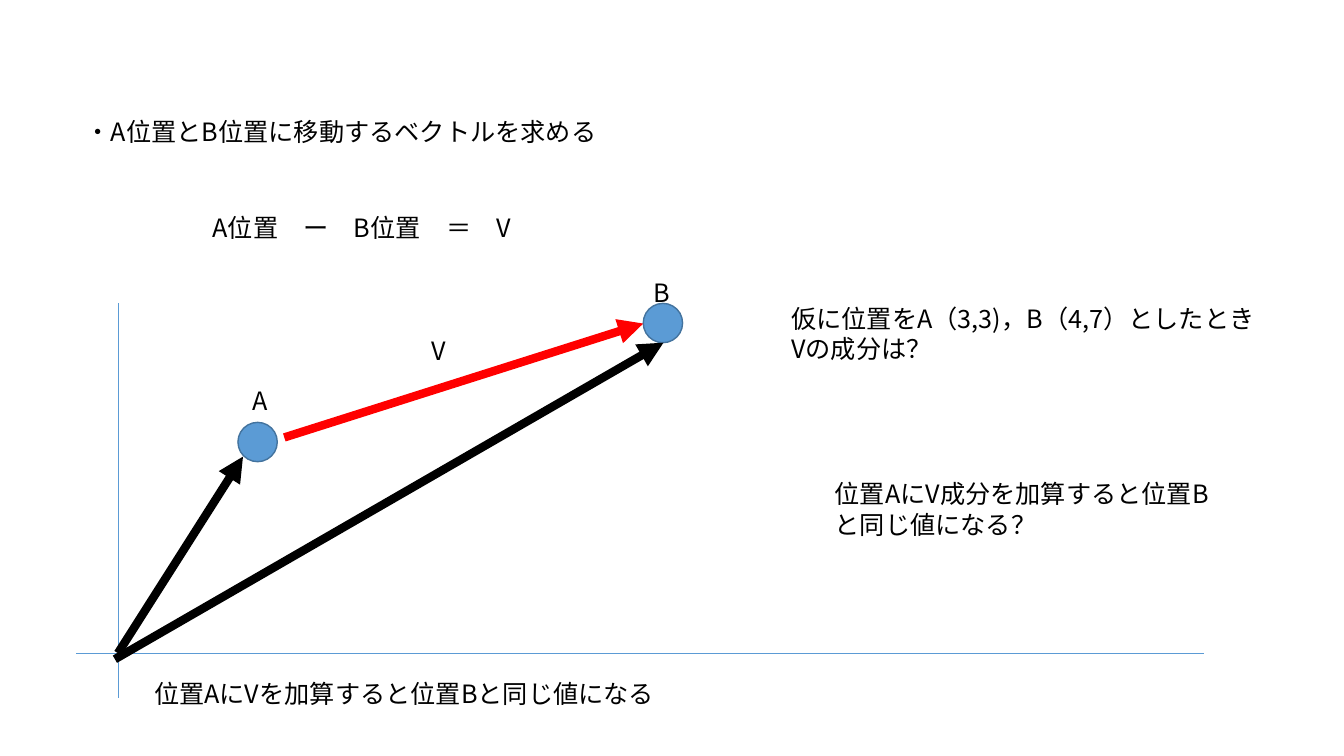
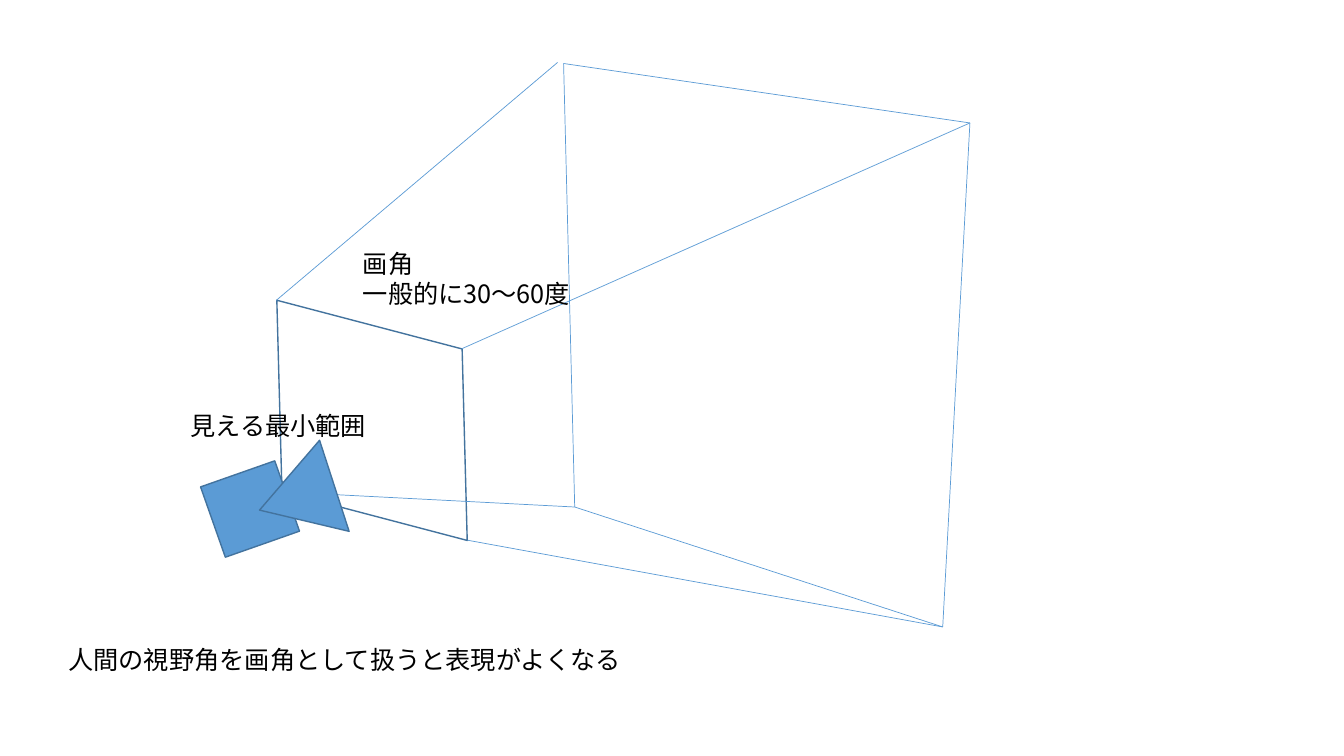
from dataclasses import dataclass
from lxml.etree import SubElement
from pptx import Presentation
from pptx.dml.color import RGBColor
from pptx.enum.shapes import MSO_CONNECTOR as CONN, MSO_SHAPE as SHAPE
from pptx.enum.text import MSO_AUTO_SIZE as AUTO
from pptx.oxml.ns import qn
from pptx.util import Inches, Pt


@dataclass(frozen=True)
class Theme:
    font: str = "Noto Sans CJK JP"
    size: float = 18
    ink: str = "000000"
    blue: str = "5B9BD5"
    edge: str = "43739E"
    red: str = "FF0000"
    thin: float = 0.5
    outline: float = 1
    thick: float = 6


T = Theme()
rgb = RGBColor.from_string


def add_text(s, x, y, w, h, *lines):
    tf = s.shapes.add_textbox(*map(Inches, (x, y, w, h))).text_frame
    for name, value in {"word_wrap": True, "auto_size": AUTO.SHAPE_TO_FIT_TEXT}.items():
        setattr(tf, name, value)
    for i, line in enumerate(lines):
        p = tf.add_paragraph() if i else tf.paragraphs[0]
        r = p.add_run()
        r.text = line
        for name, value in {"name": T.font, "size": Pt(T.size)}.items():
            setattr(r.font, name, value)
        r.font.color.rgb = rgb(T.ink)
        SubElement(r.font._element, qn("a:ea"), typeface=T.font)


def add_line(s, start, end, color=T.blue, width=T.thin, arrow=False):
    c = s.shapes.add_connector(CONN.STRAIGHT, *map(Inches, (*start, *end)))
    c.line.color.rgb = rgb(color)
    c.line.width = Pt(width)
    if arrow:
        SubElement(c.line._get_or_add_ln(), qn("a:tailEnd"), type="triangle")
    SubElement(c._element.spPr, qn("a:effectLst"))


prs = Presentation()
prs.slide_width, prs.slide_height = Inches(13.33), Inches(7.5)
blank = prs.slide_layouts[6]
outlined = []

s = prs.slides.add_slide(blank)
add_line(s, (2.82, 4.34), (6.38, 3.21), T.red, T.thick, True)
for x, y in ((6.38, 3.01), (2.36, 4.19)):
    sp = s.shapes.add_shape(SHAPE.OVAL, *map(Inches, (x, y, 0.39, 0.39)))
    outlined.append((sp, T.blue))
for start, end in (((1.17, 3.01), (1.17, 6.92)), ((11.94, 6.48), (0.75, 6.48))):
    add_line(s, start, end)
for start, end in (((1.17, 6.48), (2.41, 4.53)), ((1.14, 6.54), (6.58, 3.4))):
    add_line(s, start, end, T.ink, T.thick, True)

for box in (
    (0.75, 1.1, 5.33, 0.4, "・A位置とB位置に移動するベクトルを求める"),
    (2.41, 3.77, 0.36, 0.4, "A"),
    (4.18, 3.28, 0.36, 0.4, "V"),
    (6.38, 2.7, 0.37, 0.4, "B"),
    (2.01, 2.06, 3.22, 0.4, "A位置　ー　B位置　＝　V"),
    (7.75, 2.96, 4.86, 0.71, "仮に位置をA（3,3)，B（4,7）としたとき", "Vの成分は？"),
    (8.18, 4.7, 3.98, 0.71, "位置AにV成分を加算すると位置B", "と同じ値になる？"),
    (1.43, 6.68, 5.24, 0.4, "位置AにVを加算すると位置Bと同じ値になる"),
):
    add_text(s, *box)

s = prs.slides.add_slide(blank)
near_plane = s.shapes.add_shape(SHAPE.FLOWCHART_DECISION, *map(Inches, (2.17, 3.03, 3.04, 2.28)))
near_plane.rotation = 231.6
outlined.append((near_plane, None))

far_top_left, far_top_right = (5.59, 0.63), (9.62, 1.22)
far_bottom_left, far_bottom_right = (5.7, 5.03), (9.35, 6.22)
for start, end in (
    ((2.74, 2.98), (5.53, 0.62)),
    ((4.58, 3.46), far_top_right),
    ((4.64, 5.36), far_bottom_right),
    ((2.8, 4.88), far_bottom_left),
    (far_bottom_left, far_top_left),
    (far_bottom_right, far_bottom_left),
    (far_bottom_right, far_top_right),
    (far_top_left, far_top_right),
):
    add_line(s, start, end)

for box in (
    (3.5, 2.41, 2.28, 0.71, "画角", "一般的に30～60度"),
    (1.79, 4.02, 1.97, 0.4, "見える最小範囲"),
    (0.58, 6.34, 5.76, 0.4, "人間の視野角を画角として扱うと表現がよくなる"),
):
    add_text(s, *box)

camera = s.shapes.add_group_shape()
for kind, box, angle in (
    (SHAPE.RECTANGLE, (2.09, 4.68, 0.78, 0.74), 340.6),
    (SHAPE.ISOSCELES_TRIANGLE, (2.47, 4.55, 0.95, 0.78), 252),
):
    sp = camera.shapes.add_shape(kind, *map(Inches, box))
    sp.rotation = angle
    outlined.append((sp, T.blue))

for sp, fill in outlined:
    sp.shadow.inherit = False
    if fill:
        sp.fill.solid()
        sp.fill.fore_color.rgb = rgb(fill)
    else:
        sp.fill.background()
    sp.line.color.rgb = rgb(T.edge)
    sp.line.width = Pt(T.outline)

prs.save("out.pptx")
